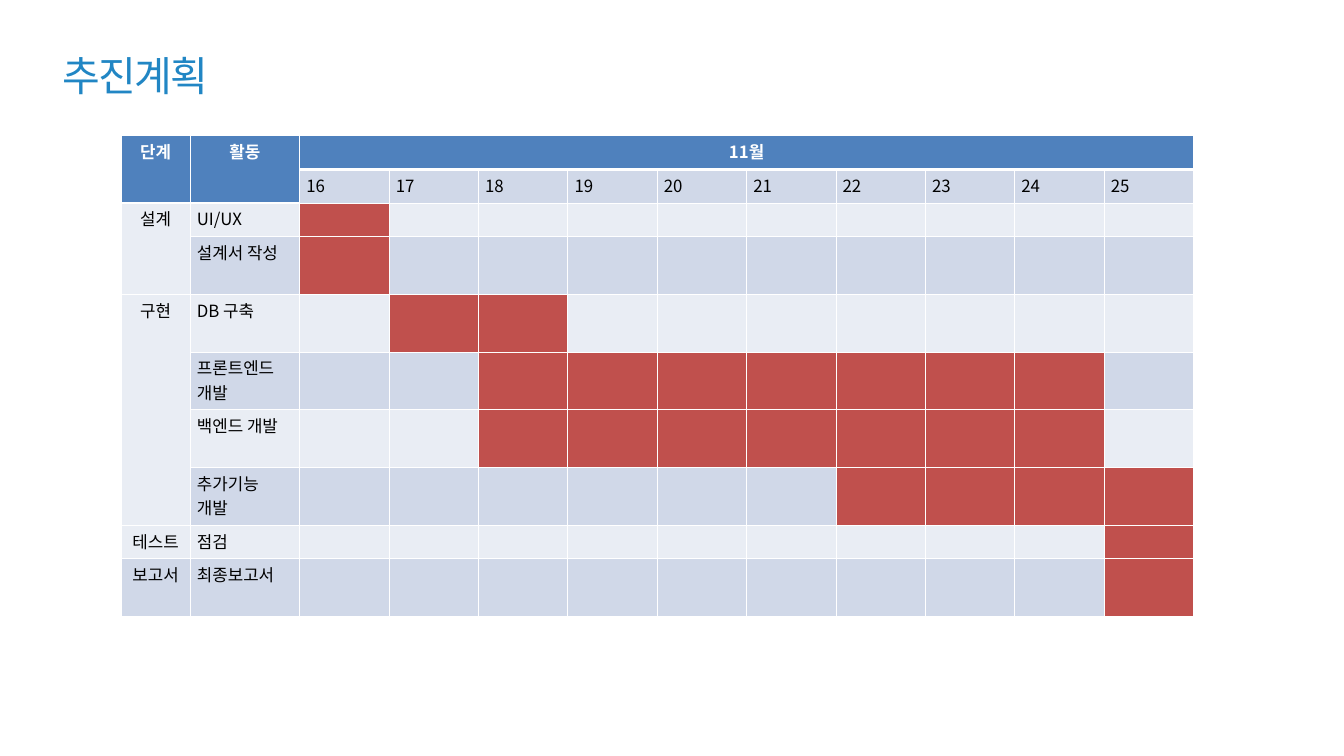
import pptx
import pptx.util
import pptx.dml.color
import pptx.enum.text
import pptx.oxml.ns
from dataclasses import dataclass
from lxml import etree

Inches = pptx.util.Inches
PP_ALIGN = pptx.enum.text.PP_ALIGN


@dataclass(frozen=True)
class Theme:
    font: str = "Noto Sans CJK KR"
    title: str = "2186C4"
    header: str = "4F81BD"
    bands: tuple = ("E9EDF4", "D0D8E8")
    bar: str = "C0504D"
    white: str = "FFFFFF"
    black: str = "000000"
    title_size: int = 44
    cell_size: int = 18
    border: int = 1
    header_border: int = 3


THEME = Theme()
DAYS = range(16, 26)
TASKS = [
    ("설계", "UI/UX", 16, 16, 0.5),
    ("", "설계서 작성", 16, 16, 0.86),
    ("구현", "DB 구축", 17, 18, 0.86),
    ("", "프론트엔드 개발", 18, 24, 0.86),
    ("", "백엔드 개발", 18, 24, 0.86),
    ("", "추가기능 개발", 22, 25, 0.86),
    ("테스트", "점검", 25, 25, 0.49),
    ("보고서", "최종보고서", 25, 25, 0.86),
]
MERGES = [(0, 0, 1, 0), (0, 1, 1, 1), (0, 2, 0, 11), (2, 0, 3, 0), (4, 0, 7, 0)]


def rgb(color):
    return pptx.dml.color.RGBColor.from_string(color)


def add_child(parent, tag, **attrs):
    return etree.SubElement(parent, pptx.oxml.ns.qn(tag), **attrs)


def write_text(tf, text, size, color, align, bold=False):
    tf.text = text
    p = tf.paragraphs[0]
    p.alignment = align
    for r in p.runs:
        r.font.size = pptx.util.Pt(size)
        r.font.bold = bold
        r.font.color.rgb = rgb(color)
        r.font.name = THEME.font
        add_child(r.font._element, "a:ea", typeface=THEME.font)


def add_title(s, text):
    sp = s.shapes.title
    sp.left, sp.top = Inches(0.83), Inches(0.69)
    sp.width, sp.height = Inches(9.48), Inches(0.84)
    tf = sp.text_frame
    tf.auto_size = pptx.enum.text.MSO_AUTO_SIZE.NONE
    tf.vertical_anchor = pptx.enum.text.MSO_ANCHOR.MIDDLE
    tf.margin_top = tf.margin_bottom = 0
    write_text(tf, text, THEME.title_size, THEME.title, PP_ALIGN.LEFT)
    tf.paragraphs[0].runs[0].font._element.set("spc", "-200")


def set_borders(cell, bottom):
    tcPr = cell._tc.get_or_add_tcPr()
    for side in "LRTB":
        width = bottom if side == "B" else THEME.border
        ln = add_child(tcPr, f"a:ln{side}", w=str(pptx.util.Pt(width)))
        add_child(add_child(ln, "a:solidFill"), "a:srgbClr", val=THEME.white)


def format_cell(cell, text, fill, header=False, centered=False):
    set_borders(cell, THEME.header_border if header else THEME.border)
    cell.fill.solid()
    cell.fill.fore_color.rgb = rgb(fill)
    if text:
        write_text(cell.text_frame, text, THEME.cell_size,
                   THEME.white if header else THEME.black,
                   PP_ALIGN.CENTER if centered else PP_ALIGN.LEFT, header)


def add_schedule(s):
    widths = [1.03, 1.63] + [1.33] * len(DAYS)
    heights = [0.5, 0.5] + [task[-1] for task in TASKS]
    table = s.shapes.add_table(len(heights), len(widths), Inches(1.8), Inches(2.02),
                               Inches(sum(widths)), Inches(sum(heights))).table
    for column, width in zip(table.columns, widths):
        column.width = Inches(width)
    for row, height in zip(table.rows, heights):
        row.height = Inches(height)
    for top, left, bottom, right in MERGES:
        table.cell(top, left).merge(table.cell(bottom, right))

    headings = ["단계", "활동", "11월"] + [""] * (len(DAYS) - 1)
    for c, text in enumerate(headings):
        format_cell(table.cell(0, c), text, THEME.header, header=True, centered=True)
    for c in range(2):
        format_cell(table.cell(1, c), "", THEME.header, header=True)
    for c, day in enumerate(DAYS, 2):
        format_cell(table.cell(1, c), str(day), THEME.bands[1])

    for i, (phase, activity, start, end, _) in enumerate(TASKS):
        band = THEME.bands[i % 2]
        format_cell(table.cell(i + 2, 0), phase, band, centered=True)
        format_cell(table.cell(i + 2, 1), activity, band)
        for c, day in enumerate(DAYS, 2):
            format_cell(table.cell(i + 2, c), "", THEME.bar if start <= day <= end else band)


def main():
    prs = pptx.Presentation()
    prs.slide_width, prs.slide_height = Inches(20), Inches(11.25)
    s = prs.slides.add_slide(prs.slide_layouts[5])
    add_title(s, "추진계획")
    add_schedule(s)
    prs.save("out.pptx")


if __name__ == "__main__":
    main()
